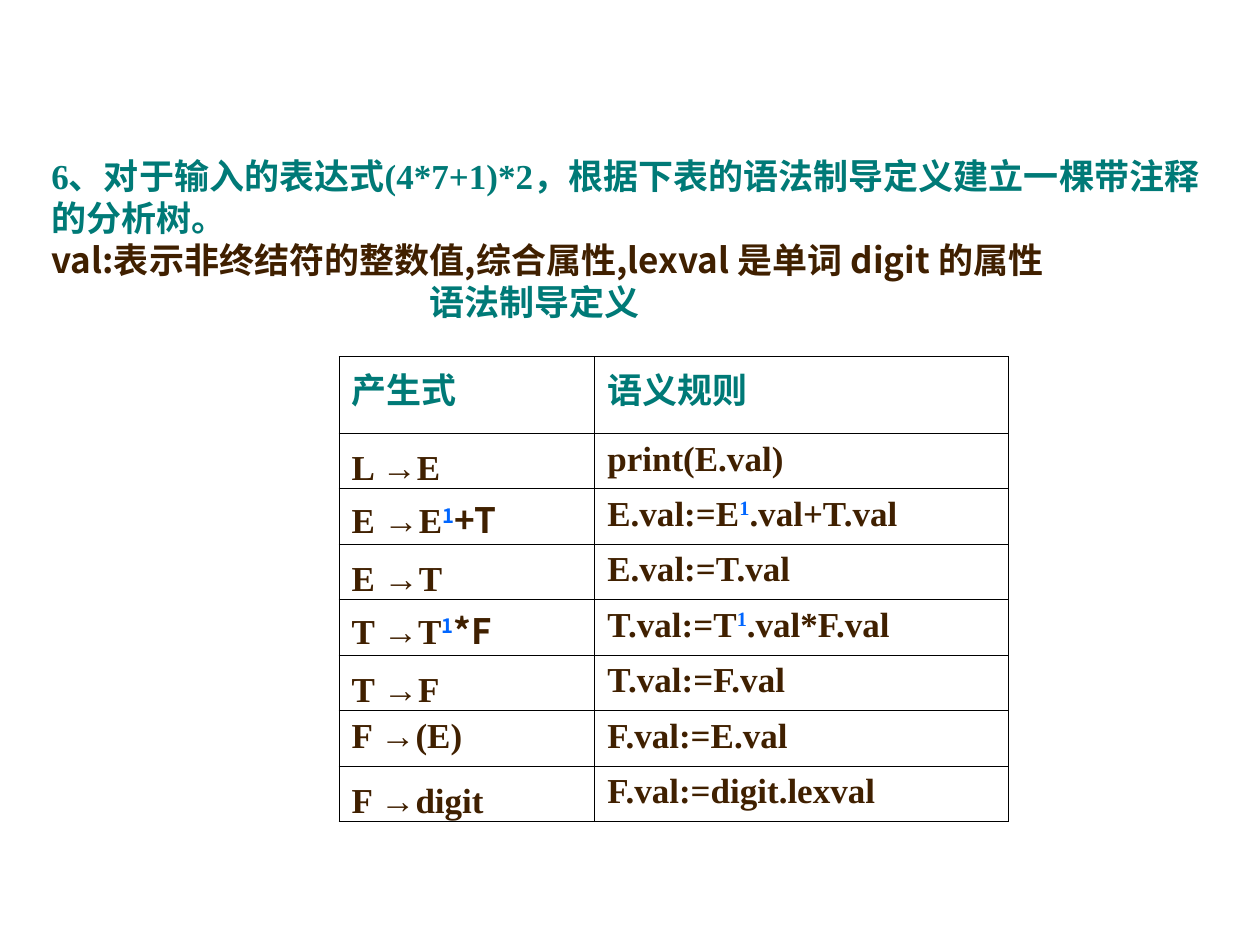
import pptx
import pptx.dml.color
import pptx.enum.text
import pptx.oxml.ns
import pptx.util
from lxml import etree

Inches = pptx.util.Inches
Pt = pptx.util.Pt
qn = pptx.oxml.ns.qn
RGBColor = pptx.dml.color.RGBColor

TEAL = RGBColor(0x00, 0x7A, 0x77)
BROWN = RGBColor(0x40, 0x20, 0x00)
BLUE = RGBColor(0x00, 0x66, 0xFF)
BLACK = RGBColor(0x00, 0x00, 0x00)

SERIF = "Times New Roman"
SANS = "Arial"
CHINESE = "Noto Sans CJK SC"

QUESTION = [
    [
        ("6", SERIF, TEAL),
        ("、对于输入的表达式", CHINESE, TEAL),
        ("(4*7+1)*2", SERIF, TEAL),
        ("，根据下表的语法制导定义建立一棵带注释的分析树。", CHINESE, TEAL),
    ],
    [("val:表示非终结符的整数值,综合属性,lexval 是单词 digit 的属性", CHINESE, BROWN)],
    [("\t\t\t语法制导定义", CHINESE, TEAL)],
]
HEADINGS = ["产生式", "语义规则"]
RULES = [
    ("L", "E", "print(E.val)"),
    ("E", "E^1^+T", "E.val:=E^1^.val+T.val"),
    ("E", "T", "E.val:=T.val"),
    ("T", "T^1^*F", "T.val:=T^1^.val*F.val"),
    ("T", "F", "T.val:=F.val"),
    ("F", "(E)", "F.val:=E.val"),
    ("F", "digit", "F.val:=digit.lexval"),
]


def marked_spans(text, later_font):
    spans = []
    for index, part in enumerate(text.split("^")):
        font = later_font if index else SERIF
        spans.append((part, font, BLUE if index % 2 else BROWN, index % 2 == 1))
    return spans


def production_spans(symbol, body):
    return [(symbol + " ", SERIF, BROWN), ("→", SANS, BROWN)] + marked_spans(body, CHINESE)


class SlideBuilder:
    size = Pt(20)
    border_width = Pt(0.45)

    def __init__(self, deck):
        self.page = deck.slides.add_slide(deck.slide_layouts[6])

    def fill_para(self, para, spans, spacing=None, tabs=()):
        if spacing:
            para.line_spacing = spacing
        if tabs:
            properties = para._p.get_or_add_pPr()
            tab_list = etree.SubElement(properties, qn("a:tabLst"))
            for stop in tabs:
                etree.SubElement(tab_list, qn("a:tab"), pos=str(Inches(stop)), algn="l")
        para.font.size = self.size
        para.font.bold = True
        for text, font, color, *raised in spans:
            span = para.add_run()
            span.text = text
            span.font.name = font
            span.font.color.rgb = color
            properties = span._r.get_or_add_rPr()
            etree.SubElement(properties, qn("a:ea"), typeface=font)
            if any(raised):
                properties.set("baseline", "30000")

    def text(self, left, top, width, height, paragraphs):
        box = self.page.shapes.add_textbox(
            Inches(left), Inches(top), Inches(width), Inches(height)
        )
        frame = box.text_frame
        frame.word_wrap = True
        frame.vertical_anchor = pptx.enum.text.MSO_ANCHOR.MIDDLE
        for index, spans in enumerate(paragraphs):
            para = frame.add_paragraph() if index else frame.paragraphs[0]
            self.fill_para(para, spans, Pt(24), range(1, 8))

    def table(self, left, top, widths, heights):
        frame = self.page.shapes.add_table(
            len(heights), len(widths), Inches(left), Inches(top),
            Inches(sum(widths)), Inches(sum(heights)),
        )
        grid = frame.table
        grid.first_row = False
        grid.horz_banding = False
        for column, width in zip(grid.columns, widths):
            column.width = Inches(width)
        for row, height in zip(grid.rows, heights):
            row.height = Inches(height)
        return grid

    def cell(self, cell, spans, lowered=False):
        cell.fill.background()
        self.border(cell)
        if lowered:
            cell.margin_top = Inches(0.13)
            cell.margin_bottom = 0
        self.fill_para(cell.text_frame.paragraphs[0], spans, Pt(22) if lowered else None)

    def border(self, cell):
        properties = cell._tc.get_or_add_tcPr()
        for index, side in enumerate(("lnL", "lnR", "lnT", "lnB")):
            line = etree.Element(qn("a:" + side), w=str(self.border_width))
            fill = etree.SubElement(line, qn("a:solidFill"))
            etree.SubElement(fill, qn("a:srgbClr"), val=str(BLACK))
            properties.insert(index, line)


def main():
    deck = pptx.Presentation()
    deck.slide_width = Inches(10)
    deck.slide_height = Inches(7.5)
    builder = SlideBuilder(deck)
    builder.text(0.31, 1.17, 9.39, 1.44, QUESTION)

    grid = builder.table(2.69, 2.83, [2.03, 3.28], [0.61] + [0.44] * len(RULES))
    for column, heading in enumerate(HEADINGS):
        builder.cell(grid.cell(0, column), [(heading, CHINESE, TEAL)])
    for row, (symbol, body, action) in enumerate(RULES, start=1):
        builder.cell(grid.cell(row, 0), production_spans(symbol, body), body != "(E)")
        builder.cell(grid.cell(row, 1), marked_spans(action, SERIF))

    deck.save("out.pptx")


if __name__ == "__main__":
    main()
